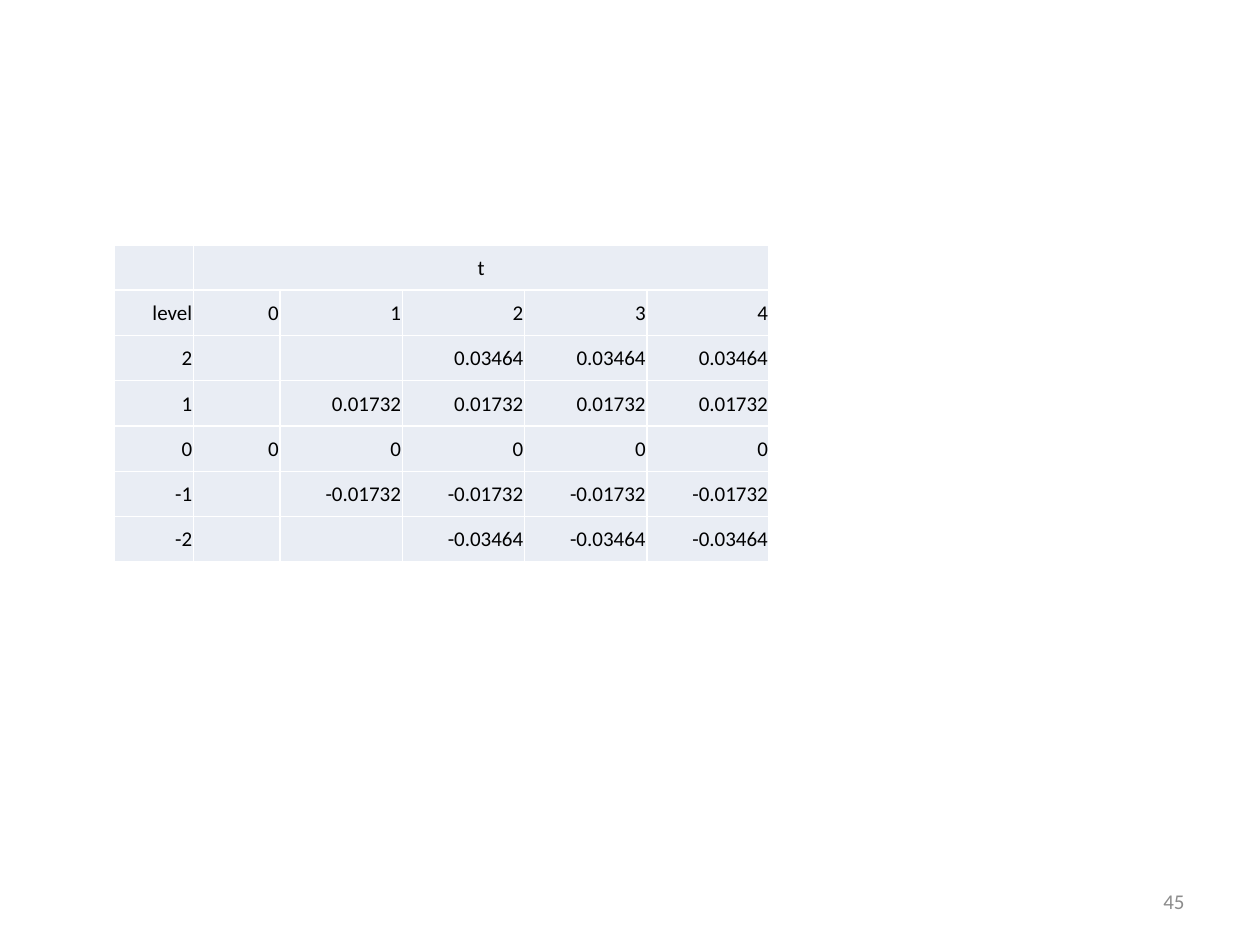
"""Build a slide with a table of lattice values by level and time step."""
import pptx
import pptx.util
import pptx.dml.color
import pptx.enum.text
import pptx.oxml
import pptx.oxml.ns

Pt = pptx.util.Pt
RGB = pptx.dml.color.RGBColor.from_string
PP = pptx.enum.text.PP_ALIGN
MIDDLE = pptx.enum.text.MSO_ANCHOR.MIDDLE

THEME = {"font": "Calibri", "size": 12, "text": "000000", "number": "8C8C8C",
         "cell": "E9EDF4", "border": "FFFFFF"}
STEP = 0.01732
TIMES = range(5)
LEVELS = range(2, -3, -1)


def write(tf, text, align, color):
    tf.text = text
    p = tf.paragraphs[0]
    p.alignment = align
    for r in p.runs:
        r.font.name = THEME["font"]
        r.font.size = Pt(THEME["size"])
        r.font.color.rgb = RGB(color)


def add_borders(cell):
    for side in ("lnL", "lnR", "lnT", "lnB"):
        cell._tc.get_or_add_tcPr().append(pptx.oxml.parse_xml(
            f'<a:{side} {pptx.oxml.ns.nsdecls("a")} w="{Pt(1)}"><a:solidFill>'
            f'<a:srgbClr val="{THEME["border"]}"/></a:solidFill></a:{side}>'))


prs = pptx.Presentation()
prs.slide_width, prs.slide_height = Pt(720), Pt(540)
s = prs.slides.add_slide(prs.slide_layouts[6])

rows = [["", "t", "", "", "", ""], ["level"] + [str(t) for t in TIMES]]
for level in LEVELS:
    value = f"{level * STEP:.5f}" if level else "0"
    rows.append([str(level)] + [value if t >= abs(level) else "" for t in TIMES])

widths = [45, 49.5] + [69.9] * 4
row_height = 25.9
table = s.shapes.add_table(len(rows), len(widths), Pt(65.5), Pt(139.9),
                           Pt(sum(widths)), Pt(row_height * len(rows))).table
table.first_row = False
table.horz_banding = False
for column, width in zip(table.columns, widths):
    column.width = Pt(width)
for i, row in enumerate(rows):
    table.rows[i].height = Pt(row_height)
    for j, text in enumerate(row):
        cell = table.cell(i, j)
        add_borders(cell)
        cell.fill.solid()
        cell.fill.fore_color.rgb = RGB(THEME["cell"])
        cell.vertical_anchor = MIDDLE
        cell.margin_left = cell.margin_right = cell.margin_top = Pt(0.7)
        cell.margin_bottom = 0
        write(cell.text_frame, text, PP.RIGHT if i else PP.CENTER, THEME["text"])
table.cell(0, 1).merge(table.cell(0, 5))

sp = s.shapes.add_textbox(Pt(516), Pt(500.5), Pt(168), Pt(28.75))
tf = sp.text_frame
tf.word_wrap = True
tf.vertical_anchor = MIDDLE
write(tf, "45", PP.RIGHT, THEME["number"])

prs.save("out.pptx")
